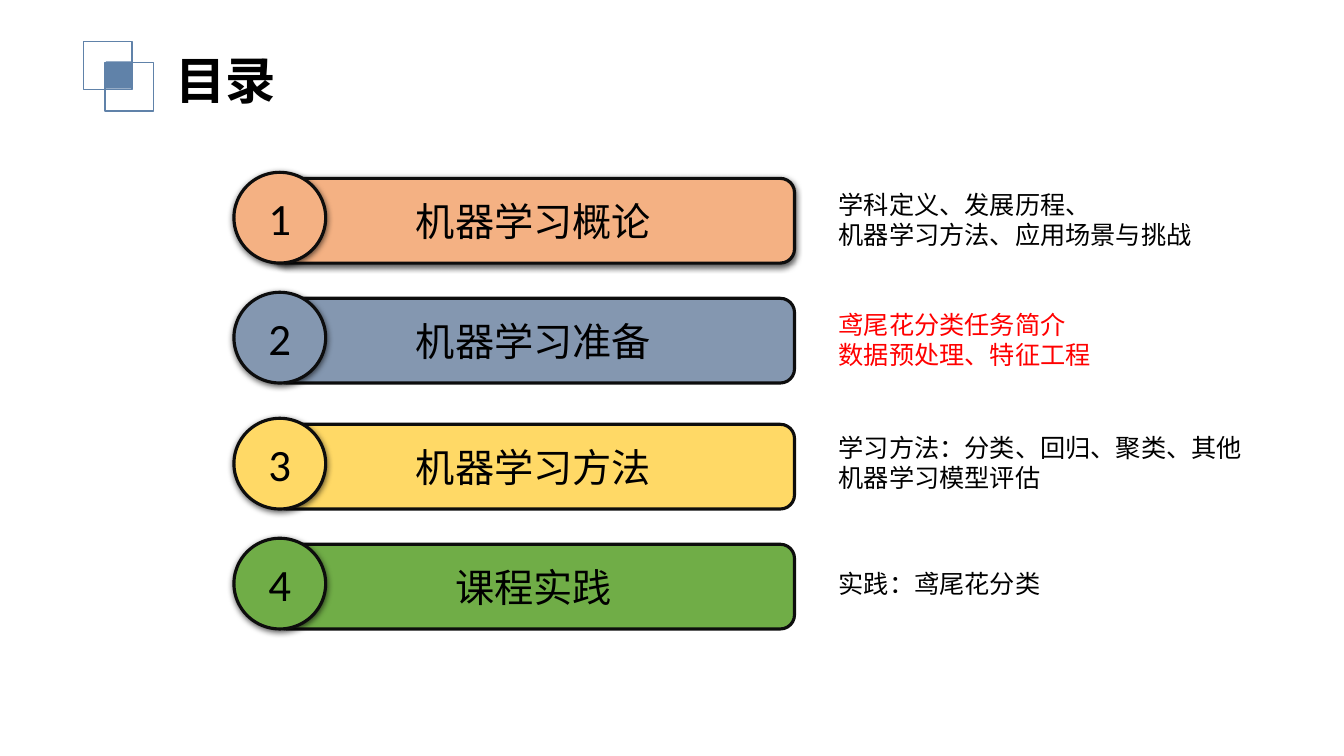
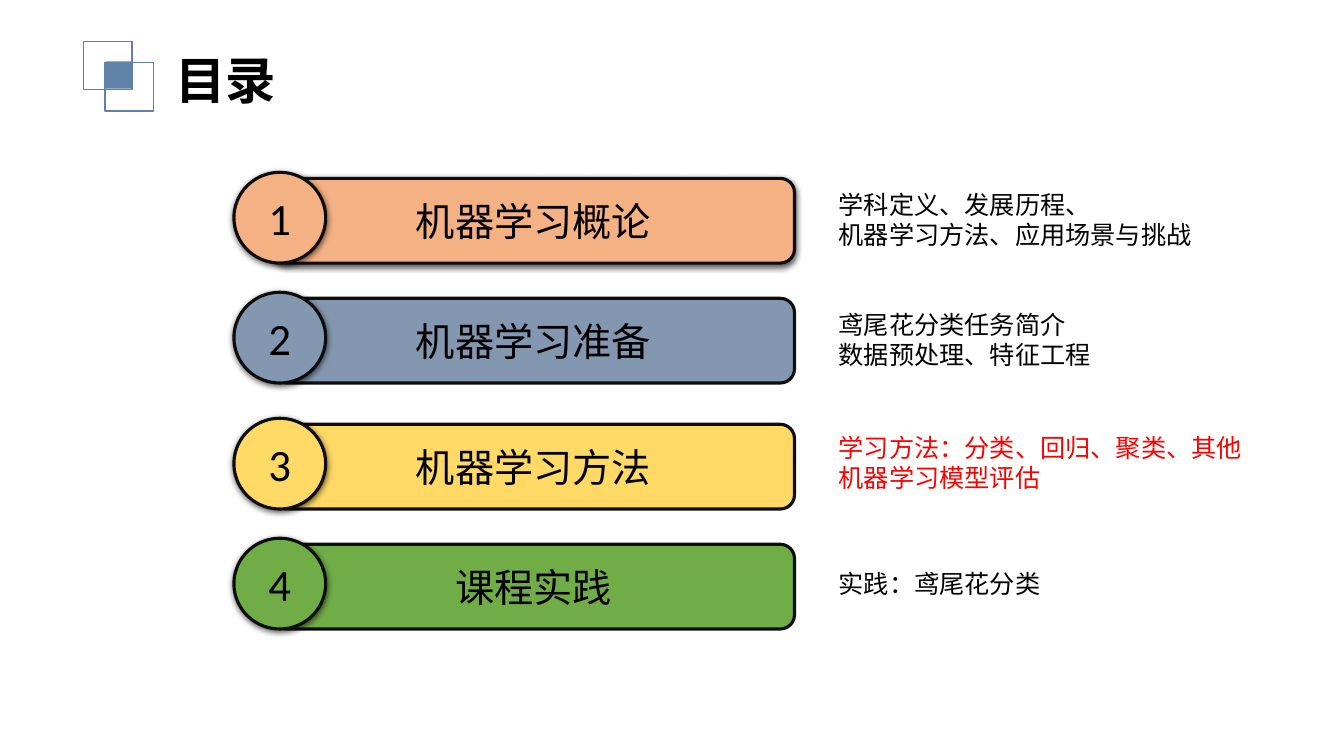
from lxml.etree import SubElement
from pptx import Presentation
from pptx.dml.color import RGBColor
from pptx.enum.shapes import MSO_SHAPE
from pptx.enum.text import MSO_ANCHOR, MSO_AUTO_SIZE, PP_ALIGN
from pptx.oxml.ns import qn
from pptx.util import Inches, Pt

TITLE = "目录"
ROWS = [
    (1.71, "F4B183", "机器学习概论", 1.83, ["学科定义、发展历程、", "机器学习方法、应用场景与挑战"]),
    (2.9, "8497B0", "机器学习准备", 3.02, ["鸢尾花分类任务简介", "数据预处理、特征工程"]),
    (4.15, "FFD966", "机器学习方法", 4.24, ["学习方法：分类、回归、聚类、其他", "机器学习模型评估"]),
    (5.34, "70AD47", "课程实践", 5.59, ["实践：鸢尾花分类"]),
]
ACTIVE = [2, 3]

BLUE, BLACK, RED, EDGE = "6082A9", "000000", "FF0000", "0D0D0D"
HAN = "Noto Sans CJK SC"
HEAD = {"name": HAN, "size": Pt(36), "bold": True}
LABEL = {"name": HAN, "size": Pt(28)}
DIGIT = {"name": "Calibri", "size": Pt(32)}
NOTE = {"name": HAN, "size": Pt(18)}
LINE_H, PAD_H = 0.31, 0.09
SHADOW = {"blurRad": Pt(4.5), "dist": Pt(1.5), "dir": 5400000, "algn": "ctr", "rotWithShape": 0}


def paint(tone):
    return RGBColor.from_string(tone)


def write(frame, lines, style, tone=BLACK, align=PP_ALIGN.LEFT):
    for num, line in enumerate(lines):
        para = frame.add_paragraph() if num else frame.paragraphs[0]
        para.alignment = align
        run = para.add_run()
        run.text = line
        for key, val in style.items():
            setattr(run.font, key, val)
        run.font.color.rgb = paint(tone)
        SubElement(run.font._element, qn("a:ea"), typeface=style["name"])


def text(slide, box, lines, style, tone=BLACK):
    frame = slide.shapes.add_textbox(*map(Inches, box)).text_frame
    frame.word_wrap = True
    frame.auto_size = MSO_AUTO_SIZE.SHAPE_TO_FIT_TEXT
    write(frame, lines, style, tone)


def shape(slide, kind, box, fill=None, edge=None, width=1):
    item = slide.shapes.add_shape(kind, *map(Inches, box))
    item.shadow.inherit = False
    if fill:
        item.fill.solid()
        item.fill.fore_color.rgb = paint(fill)
    else:
        item.fill.background()
    if edge:
        item.line.color.rgb = paint(edge)
        item.line.width = Pt(width)
    else:
        item.line.fill.background()
    return item


def shade(item):
    effects = item._element.spPr.find(qn("a:effectLst"))
    outer = SubElement(effects, qn("a:outerShdw"), {key: str(val) for key, val in SHADOW.items()})
    color = SubElement(outer, qn("a:srgbClr"), val=BLACK)
    SubElement(color, qn("a:alpha"), val="63000")


def badge(slide, kind, box, fill, words, style, shaded):
    item = shape(slide, kind, box, fill, EDGE, 2.25)
    if shaded:
        shade(item)
    item.text_frame.vertical_anchor = MSO_ANCHOR.MIDDLE
    write(item.text_frame, [words], style, align=PP_ALIGN.CENTER)


def header(slide):
    for left, top in [(0.83, 0.41), (1.04, 0.62)]:
        shape(slide, MSO_SHAPE.RECTANGLE, (left, top, 0.48, 0.48), edge=BLUE)
    shape(slide, MSO_SHAPE.RECTANGLE, (1.05, 0.61, 0.25, 0.27), BLUE)
    text(slide, (1.64, 0.44, 1.27, 0.71), [TITLE], HEAD)


def agenda(slide, active):
    for num, (top, fill, label, note_top, lines) in enumerate(ROWS, 1):
        badge(slide, MSO_SHAPE.ROUNDED_RECTANGLE, (2.7, top + 0.06, 5.18, 0.84),
              fill, label, LABEL, num == 1)
        badge(slide, MSO_SHAPE.OVAL, (2.32, top, 0.91, 0.9), fill, str(num), DIGIT, True)
        high = PAD_H + LINE_H * len(lines)
        text(slide, (8.22, note_top, 4.96, high), lines, NOTE, RED if num == active else BLACK)


def main():
    deck = Presentation()
    deck.slide_width, deck.slide_height = Inches(13.33), Inches(7.5)
    for active in ACTIVE:
        slide = deck.slides.add_slide(deck.slide_layouts[6])
        header(slide)
        agenda(slide, active)
    deck.save("out.pptx")


if __name__ == "__main__":
    main()
